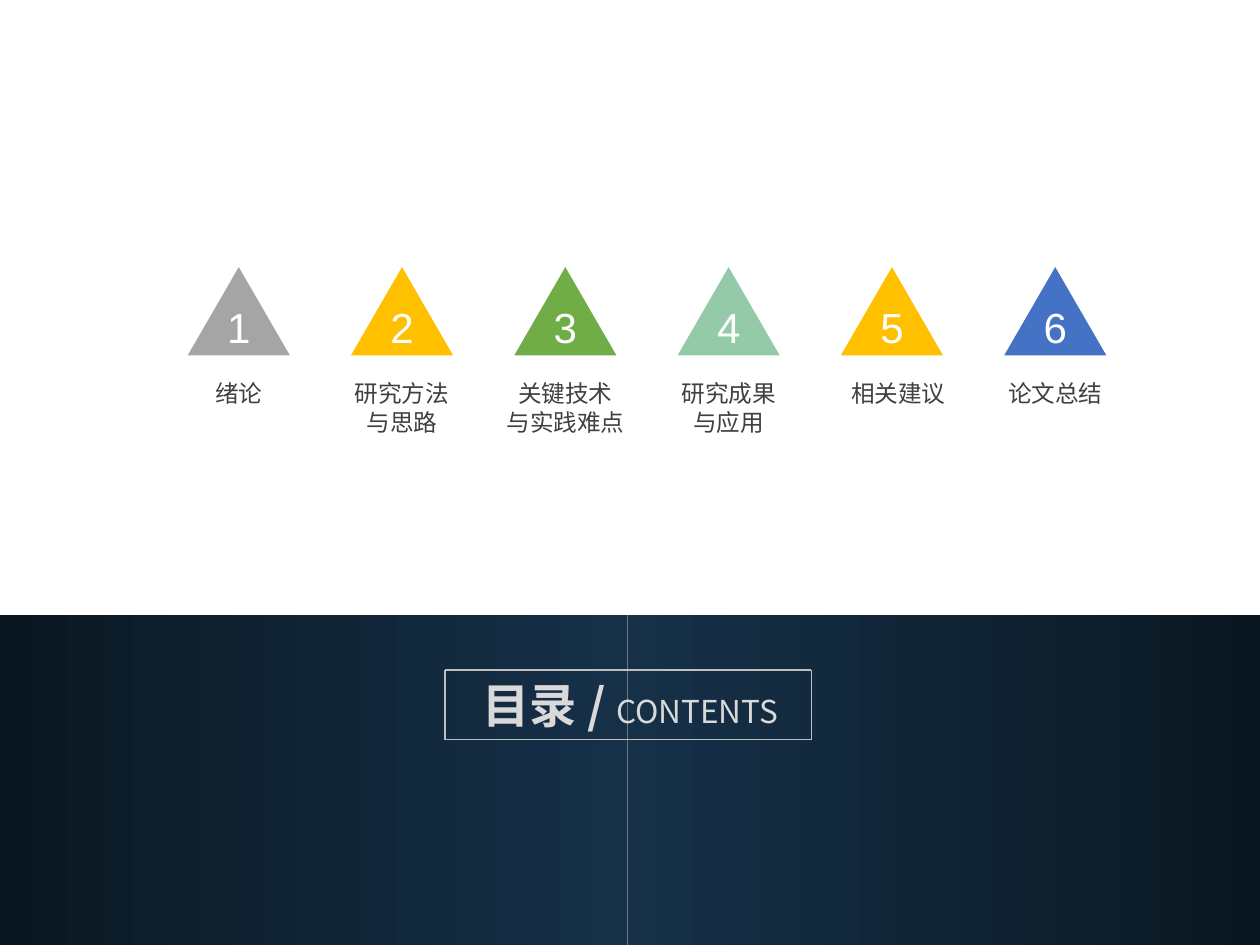
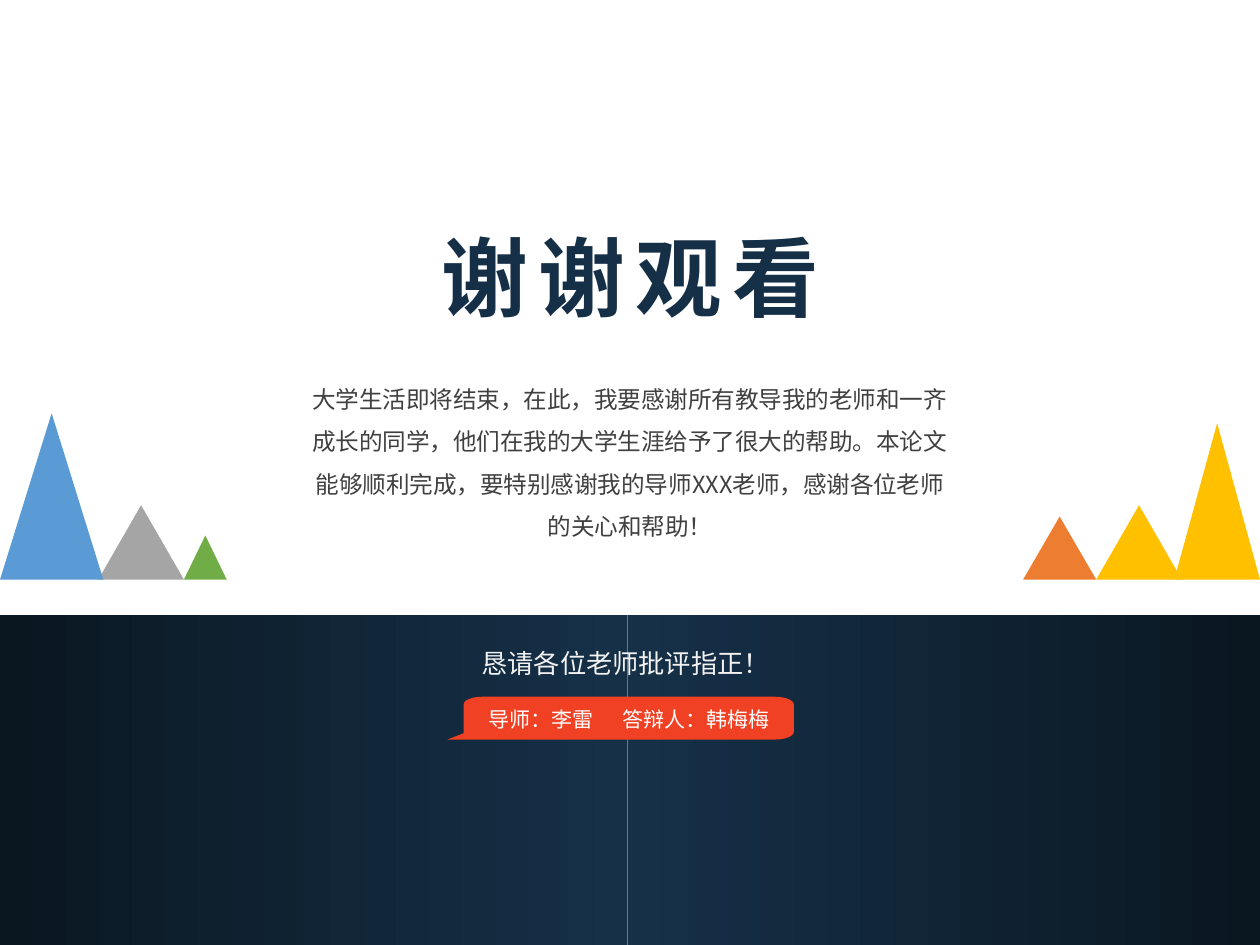
import math
from lxml import etree
from pptx import Presentation
from pptx import util as u
from pptx.dml.color import RGBColor
from pptx.enum import shapes, text
from pptx.oxml.ns import qn

COLORS = {
    "navy": "163048", "night": "0A1721", "heading": "152F47",
    "body": "404040", "white": "FFFFFF", "pale": "F2F2F2",
    "title": "D9D9D9", "frame": "BFBFBF", "gray": "A5A5A5",
    "gold": "FFC000", "green": "70AD47", "mint": "94CAA8",
    "blue": "4472C4", "sky": "5B9BD5", "orange": "ED7D31", "red": "F14124",
}
SANS, DIGITS = "Noto Sans CJK SC", "Arial"
TIGHT = (0.07, 0.04)
NORMAL = (0.1, 0.05)
CENTER, LEFT = text.PP_ALIGN.CENTER, text.PP_ALIGN.LEFT
TRIANGLE = shapes.MSO_SHAPE.ISOSCELES_TRIANGLE
RECT = shapes.MSO_SHAPE.RECTANGLE

prs = Presentation()
prs.slide_width, prs.slide_height = u.Inches(10), u.Inches(7.5)
COL, ROW = prs.slide_width / 100, prs.slide_height / 75

CHAPTERS = [
    (["绪论"], "gray", 0), (["研究方法", "与思路"], "gold", 0),
    (["关键技术", "与实践难点"], "green", 0), (["研究成果", "与应用"], "mint", 0),
    (["相关建议"], "gold", 0.5), (["论文总结"], "blue", 0),
]
HILLS = [
    (7.8, 6.8, 5.9, "gray"), (81.2, 5.8, 5, "orange"),
    (0, 8.2, 13.2, "sky"), (14.6, 3.4, 3.5, "green"),
    (87, 6.8, 5.9, "gold"), (93.2, 6.8, 12.4, "gold"),
]
THANKS = ("大学生活即将结束，在此，我要感谢所有教导我的老师和一齐成长的同学，"
          "他们在我的大学生涯给予了很大的帮助。本论文能够顺利完成，"
          "要特别感谢我的导师XXX老师，感谢各位老师的关心和帮助！")


def rgb(name):
    return RGBColor.from_string(COLORS[name])


def cells(x, y, w, h):
    return [u.Emu(round(v)) for v in (x * COL, y * ROW, w * COL, h * ROW)]


def paint(sp, color):
    sp.shadow.inherit = False
    sp.fill.solid()
    sp.fill.fore_color.rgb = rgb(color)
    sp.line.fill.background()


def add_triangle(parent, box, color):
    sp = parent.add_shape(TRIANGLE, *cells(*box))
    paint(sp, color)


def add_run(p, words, size, color, bold=False, font=SANS, spacing=0):
    r = p.add_run()
    r.text = words
    r.font.size, r.font.bold, r.font.name = u.Pt(size), bold, font
    r.font.color.rgb = rgb(color)
    props = r.font._element
    etree.SubElement(props, qn("a:ea")).set("typeface", font)
    if spacing:
        props.set("spc", str(spacing * 100))


def setup_frame(tf, insets=NORMAL, wrap=True):
    tf.word_wrap = wrap
    tf.auto_size = text.MSO_AUTO_SIZE.SHAPE_TO_FIT_TEXT
    tf.vertical_anchor = text.MSO_ANCHOR.TOP
    tf.margin_left = tf.margin_right = u.Inches(insets[0])
    tf.margin_top = tf.margin_bottom = u.Inches(insets[1])


def add_text(parent, box, lines, size, color, font=SANS, align=CENTER,
             spacing=None, insets=NORMAL, wrap=True):
    tf = parent.add_textbox(*cells(*box)).text_frame
    setup_frame(tf, insets, wrap)
    for i, line in enumerate(lines):
        p = tf.add_paragraph() if i else tf.paragraphs[0]
        p.alignment = align
        if spacing:
            p.line_spacing = spacing
        add_run(p, line, size, color, font=font)
    return tf


def set_title(s, box, runs, insets=NORMAL):
    sp = s.shapes.title
    sp.left, sp.top, sp.width, sp.height = cells(*box)
    setup_frame(sp.text_frame, insets)
    p = sp.text_frame.paragraphs[0]
    p.alignment = CENTER
    for run in runs:
        add_run(p, **run)


def add_band(s, layout):
    for x, w, turn in ((0, 49.8, 180), (49.8, 50.2, 0)):
        sp = s.shapes.add_shape(RECT, *cells(x, 48.8, w, 26.2))
        sp.rotation = turn
        sp.shadow.inherit = False
        sp.line.fill.background()
        sp.fill.gradient()
        sp.fill.gradient_angle = 0
        for stop, color in zip(sp.fill.gradient_stops, ("navy", "night")):
            stop.color.rgb = rgb(color)
        layout.shapes.element.append(sp.element)


def add_outline(s, left, top, right, bottom):
    corners = [(left, top), (right, top), (right, bottom), (left, bottom)]
    for start, end in zip(corners, corners[1:] + corners[:1]):
        cx = s.shapes.add_connector(
            shapes.MSO_CONNECTOR.STRAIGHT, *cells(*start, *end))
        cx.line.color.rgb = rgb("frame")
        cx.line.width = u.Pt(1)
        etree.SubElement(cx._element.spPr, qn("a:effectLst"))


def add_chapter(s, i, lines, color, nudge):
    center = 18.95 + 12.96 * i
    group = s.shapes.add_group_shape().shapes
    add_triangle(group, (center - 4.05, 21.2, 8.1, 7), color)
    add_text(group, (center - 1.95, 23.4, 3.9, 5), [str(i + 1)], 24, "white",
             font=DIGITS, wrap=False)
    width = 2 + 1.9 * max(map(len, lines))
    add_text(s.shapes, (center + nudge - width / 2, 29.6, width, 1 + 2.3 * len(lines)),
             lines, 13.5, "body", wrap=False)


def corner(cx, cy, rx, ry, start):
    angles = [math.radians(start + 15 * k) for k in range(7)]
    return [(cx + rx * math.cos(a), cy + ry * math.sin(a)) for a in angles]


def add_callout(s, left, top, right, bottom, tip):
    rx, ry = 1.5, 0.6
    points = (corner(left + rx, top + ry, rx, ry, 180)
              + corner(right - rx, top + ry, rx, ry, 270)
              + corner(right - rx, bottom - ry, rx, ry, 0)
              + [(tip, bottom), (left, bottom - 0.5)])
    points = [(round(x * COL), round(y * ROW)) for x, y in points]
    fb = s.shapes.build_freeform(*points[0])
    fb.add_line_segments(points[1:], close=True)
    paint(fb.convert_to_shape(), "red")


def add_names(s):
    tf = add_text(s.shapes, (37.8, 55.6, 25, 3), ["导师：李雷\t答辩人：韩梅梅"],
                  12, "white", align=LEFT)
    tabs = etree.SubElement(tf.paragraphs[0]._p.get_or_add_pPr(), qn("a:tabLst"))
    etree.SubElement(tabs, qn("a:tab"), pos=str(u.Inches(1.06)), algn="l")


def build_contents(s):
    for i, chapter in enumerate(CHAPTERS):
        add_chapter(s, i, *chapter)
    set_title(s, (36.4, 53.2, 27.2, 5.6), [
        dict(words="目录 / ", size=27, color="title", bold=True),
        dict(words="CONTENTS", size=18, color="title")])
    add_outline(s, 35.3, 53.2, 64.4, 58.7)


def build_thanks(s):
    set_title(s, (31.8, 17.4, 36.5, 9.1), [
        dict(words="谢谢观看", size=49.5, color="heading", bold=True, spacing=6)], TIGHT)
    add_text(s.shapes, (23.6, 29, 52.8, 14.4), [THANKS], 13.5, "body",
             spacing=1.5, insets=TIGHT)
    add_text(s.shapes, (37.5, 49.7, 25, 4.5), ["恳请各位老师批评指正！"], 15, "pale",
             align=LEFT, spacing=1.5, insets=TIGHT)
    for x, w, h, color in HILLS:
        add_triangle(s.shapes, (x, 46 - h, w, h), color)
    add_callout(s, 36.8, 55.3, 63, 58.7, 35.5)
    add_names(s)


def main():
    layout = prs.slide_layouts[5]
    contents, thanks = [prs.slides.add_slide(layout) for _ in range(2)]
    add_band(contents, layout)
    build_contents(contents)
    build_thanks(thanks)
    prs.save("out.pptx")


if __name__ == "__main__":
    main()
